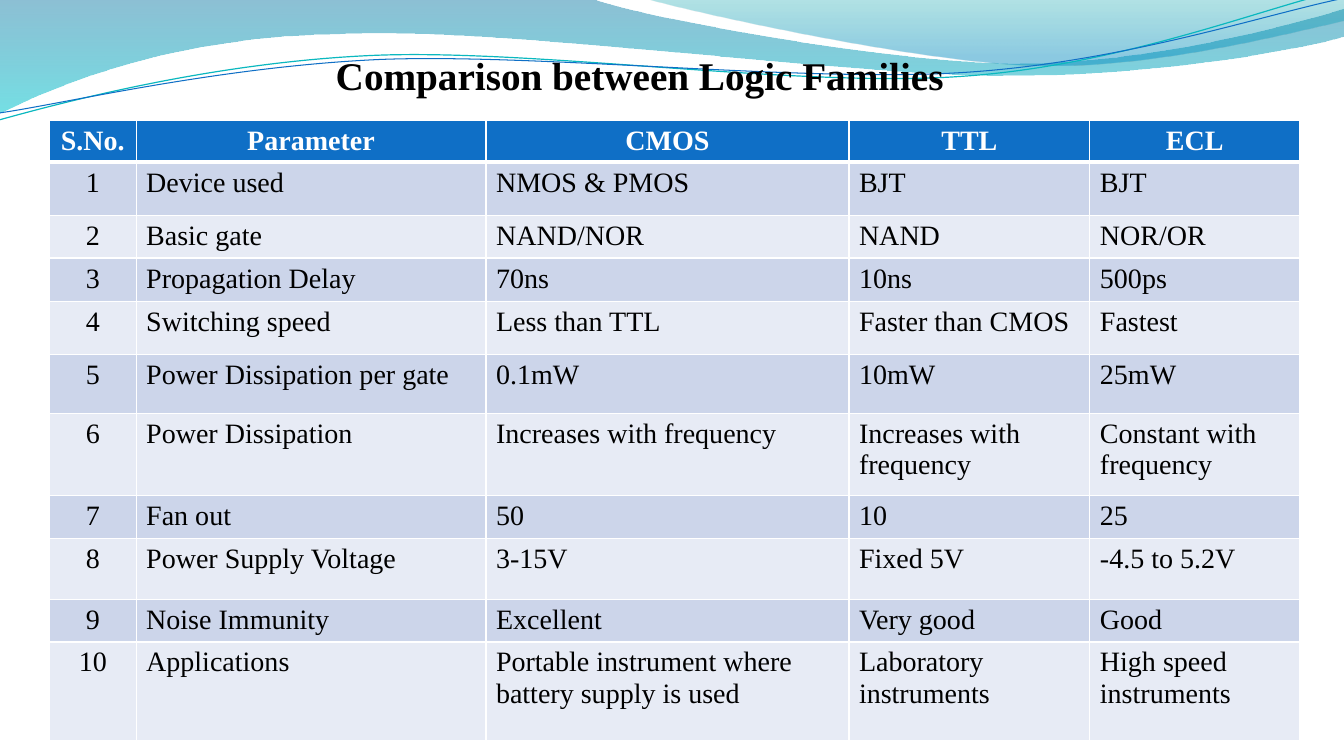
"""Build the slide that compares the CMOS, TTL and ECL logic families."""
from dataclasses import dataclass

from lxml.etree import SubElement
from pptx import Presentation
from pptx.dml.color import RGBColor
from pptx.enum.text import MSO_ANCHOR, MSO_AUTO_SIZE, PP_ALIGN
from pptx.oxml.ns import qn
from pptx.shapes.autoshape import Shape
from pptx.slide import Slide
from pptx.table import _Cell
from pptx.text.text import _Paragraph
from pptx.util import Inches, Pt

FONT = "Times New Roman"
COLOURS = {
    "white": "FFFFFF", "black": "000000", "header": "0F6FC6",
    "odd": "CCD5EA", "even": "E7EBF5",
    "deep_blue": "0074A1", "cyan": "00C6CF", "teal": "00A1A9", "sky": "008BBF",
    "teal_line": "0AB8BF", "blue_line": "0F6FC6",
}
Point = tuple[float, float]


@dataclass(frozen=True)
class Stop:
    """One gradient stop: place from 0 to 1, colour and opacity in percent."""
    place: float
    colour: str
    opacity: int


@dataclass(frozen=True)
class Wave:
    """An outline whose steps hold one point (line) or three points (curve)."""
    start: Point
    steps: list[tuple[Point, ...]]
    stops: tuple[Stop, ...] = ()
    line: str = ""
    weight: float = 0


WAVES = [
    Wave((-0.01, -0.01), [
        ((5.87, -0.01),),
        ((6.34, 0.17), (8.85, 0.63), (10.11, 0.63)),
        ((11.38, 0.63), (12.78, 0.26), (13.33, 0.09)),
        ((13.35, 0.36),),
        ((13.11, 0.44), (11.6, 0.76), (9.94, 0.75)),
        ((8.29, 0.75), (5.09, 0.28), (3.43, 0.34)),
        ((1.72, 0.36), (0.61, 0.83), (-0.01, 1.13)),
        ((-0.01, -0.01),),
    ], stops=(Stop(0, "deep_blue", 45), Stop(1, "cyan", 55))),
    Wave((6.39, -0.01), [
        ((6.79, 0.11), (9.09, 0.62), (10.25, 0.65)),
        ((11.41, 0.69), (12.82, 0.32), (13.33, 0.21)),
        ((13.33, 0),),
        ((6.39, -0.01),),
    ], stops=(Stop(0, "teal", 30), Stop(0.8, "sky", 45))),
    Wave((-0.01, 1.19), [
        ((0.64, 1.01), (2.11, 0.62), (3.69, 0.55)),
        ((5.27, 0.48), (7.9, 0.87), (9.5, 0.76)),
        ((11.1, 0.66), (12.52, 0.08), (13.31, -0.1)),
    ], line="teal_line", weight=0.85),
    Wave((0, 1.12), [
        ((0.63, 1.03), (2.18, 0.66), (3.78, 0.59)),
        ((5.37, 0.53), (7.96, 0.82), (9.55, 0.72)),
        ((11.15, 0.62), (12.55, 0.14), (13.34, -0.02)),
    ], line="blue_line", weight=0.75),
]

COLUMN_WIDTHS = [0.86, 3.47, 3.6, 2.39, 2.08]
ROW_HEIGHTS = [0.42, 0.53, 0.42, 0.43, 0.53, 0.58, 0.82, 0.42, 0.61, 0.42, 0.98]
HEADINGS = ["S.No.", "Parameter", "CMOS", "TTL", "ECL"]
COMPARISON = [
    ["Device used", "NMOS & PMOS", "BJT", "BJT"],
    ["Basic gate", "NAND/NOR", "NAND", "NOR/OR"],
    ["Propagation Delay", "70ns", "10ns", "500ps"],
    ["Switching speed", "Less than TTL", "Faster than CMOS", "Fastest"],
    ["Power Dissipation per gate", "0.1mW", "10mW", "25mW"],
    ["Power Dissipation", "Increases with frequency", "Increases with frequency",
     "Constant with frequency"],
    ["Fan out", "50", "10", "25"],
    ["Power Supply Voltage", "3-15V", "Fixed 5V", "-4.5 to 5.2V"],
    ["Noise Immunity", "Excellent", "Very good", "Good"],
    ["Applications", "Portable instrument where battery supply is used",
     "Laboratory instruments", "High speed instruments"],
]


def rgb(name: str) -> RGBColor:
    """Look up a named colour."""
    return RGBColor.from_string(COLOURS[name])


def bend(shape: Shape, steps: list[tuple[Point, ...]]) -> None:
    """Turn each run of three line segments that belongs to a curve into that curve."""
    segments = iter(list(shape.element.spPr.iter(qn("a:lnTo"))))
    for step in steps:
        first, *others = [next(segments) for _ in step]
        if others:
            curve = first.makeelement(qn("a:cubicBezTo"))
            first.addprevious(curve)
            for segment in (first, *others):
                curve.append(segment[0])
                segment.getparent().remove(segment)


def draw_wave(page: Slide, wave: Wave) -> None:
    """Draw a gradient band or a thin line."""
    points = [wave.start] + [point for step in wave.steps for point in step]
    corners = [(Inches(x), Inches(y)) for x, y in points]
    builder = page.shapes.build_freeform(*corners[0])
    builder.add_line_segments(corners[1:], close=bool(wave.stops))
    shape = builder.convert_to_shape()
    bend(shape, wave.steps)
    shape.shadow.inherit = False
    if not wave.stops:
        shape.fill.background()
        shape.line.color.rgb = rgb(wave.line)
        shape.line.width = Pt(wave.weight)
        return
    shape.line.fill.background()
    shape.fill.gradient()
    shape.fill.gradient_angle = 270
    for target, stop in zip(shape.fill.gradient_stops, wave.stops):
        target.position = stop.place
        target.color.rgb = rgb(stop.colour)
    for colour, stop in zip(shape.element.spPr.iter(qn("a:srgbClr")), wave.stops):
        SubElement(colour, qn("a:alpha"), val=str(stop.opacity * 1000))


def add_span(para: _Paragraph, text: str, size: int, colour: str, bold: bool) -> None:
    """Add one formatted run."""
    span = para.add_run()
    span.text = text
    span.font.name = FONT
    span.font.size = Pt(size)
    span.font.bold = bold
    span.font.color.rgb = rgb(colour)


def add_borders(cell: _Cell, top: int, bottom: int) -> None:
    """Draw white borders around a cell, with top and bottom widths in points."""
    properties = cell._tc.get_or_add_tcPr()
    for side, width in (("L", 1), ("R", 1), ("T", top), ("B", bottom)):
        line = SubElement(properties, qn(f"a:ln{side}"), w=str(Pt(width)))
        fill = SubElement(line, qn("a:solidFill"))
        SubElement(fill, qn("a:srgbClr"), val=COLOURS["white"])


def draw_table(page: Slide) -> None:
    """Draw the comparison table."""
    rows = [HEADINGS] + [[str(number), *row] for number, row in enumerate(COMPARISON, 1)]
    table = page.shapes.add_table(
        len(rows), len(HEADINGS), Inches(0.49), Inches(1.19),
        Inches(sum(COLUMN_WIDTHS)), Inches(sum(ROW_HEIGHTS))).table
    for column, width in zip(table.columns, COLUMN_WIDTHS):
        column.width = Inches(width)
    for row_index, texts in enumerate(rows):
        table.rows[row_index].height = Inches(ROW_HEIGHTS[row_index])
        header = row_index == 0
        fill = "header" if header else ("even", "odd")[row_index % 2]
        for column_index, text in enumerate(texts):
            cell = table.cell(row_index, column_index)
            add_borders(cell, 3 if row_index == 1 else 1, 3 if header else 1)
            cell.fill.solid()
            cell.fill.fore_color.rgb = rgb(fill)
            para = cell.text_frame.paragraphs[0]
            centred = header or column_index == 0
            para.alignment = PP_ALIGN.CENTER if centred else PP_ALIGN.LEFT
            add_span(para, text, 20, "white" if header else "black", header)


def place_title(page: Slide) -> None:
    """Move the title into place, in front of the waves."""
    title = page.shapes.title
    title.left, title.top = Inches(3.23), Inches(0.46)
    title.width, title.height = Inches(6.3), Inches(0.57)
    frame = title.text_frame
    frame.word_wrap = False
    frame.auto_size = MSO_AUTO_SIZE.SHAPE_TO_FIT_TEXT
    frame.vertical_anchor = MSO_ANCHOR.TOP
    para = frame.paragraphs[0]
    para.alignment = PP_ALIGN.LEFT
    add_span(para, "Comparison between Logic Families", 28, "black", True)
    title.element.getparent().append(title.element)


def main() -> None:
    """Build and save the deck."""
    deck = Presentation()
    deck.slide_width, deck.slide_height = Inches(13.33), Inches(7.5)
    page = deck.slides.add_slide(deck.slide_layouts[5])
    for wave in WAVES:
        draw_wave(page, wave)
    draw_table(page)
    place_title(page)
    deck.save("out.pptx")


if __name__ == "__main__":
    main()
